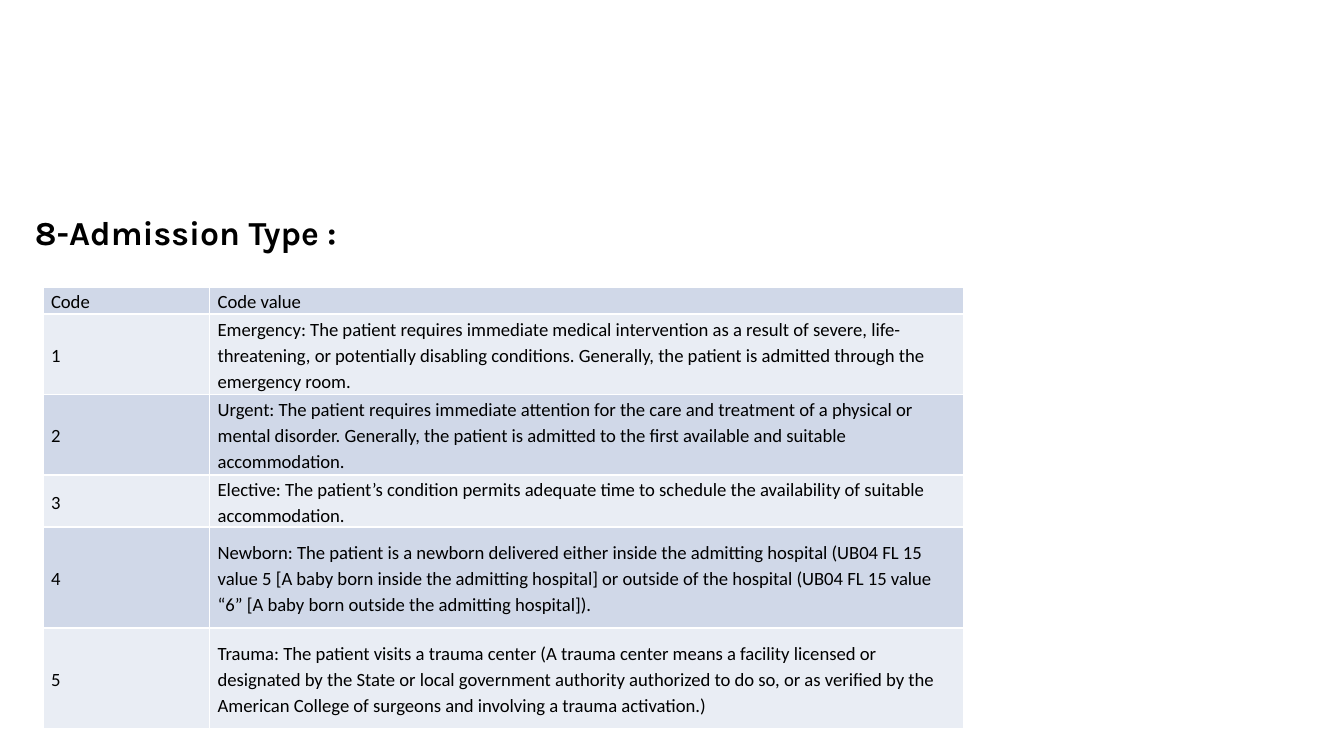
from dataclasses import dataclass

from lxml import etree
from pptx import Presentation
from pptx.dml.color import RGBColor
from pptx.enum.text import MSO_ANCHOR, MSO_AUTO_SIZE, PP_ALIGN
from pptx.oxml.ns import qn
from pptx.util import Inches, Pt

TOP, MIDDLE, BOTTOM = MSO_ANCHOR.TOP, MSO_ANCHOR.MIDDLE, MSO_ANCHOR.BOTTOM
LEFT = PP_ALIGN.LEFT
NO_AUTOFIT = MSO_AUTO_SIZE.NONE
TITLE_ONLY = 5

WIDTH = Inches(10)
HEIGHT = WIDTH * 9 // 16
COLUMN_WIDTHS = (1.24, 5.61)
COLORS = {"text": "000000", "border": "FFFFFF", "dark band": "D0D8E8", "light band": "E9EDF4"}
BANDS = ("dark band", "light band")


@dataclass
class CodeRow:
    code: str
    value: str
    height: float
    anchor: MSO_ANCHOR = MIDDLE


ROWS = [
    CodeRow("Code", "Code value", 0.17, BOTTOM),
    CodeRow("1", "Emergency: The patient requires immediate medical intervention as a result of "
            "severe, life-threatening, or potentially disabling conditions. Generally, the patient "
            "is admitted through the emergency room.", 0.6),
    CodeRow("2", "Urgent: The patient requires immediate attention for the care and treatment of a "
            "physical or mental disorder. Generally, the patient is admitted to the first available "
            "and suitable accommodation.", 0.6),
    CodeRow("3", "Elective: The patient’s condition permits adequate time to schedule the "
            "availability of suitable accommodation.", 0.34),
    CodeRow("4", "Newborn: The patient is a newborn delivered either inside the admitting hospital "
            "(UB04 FL 15 value 5 [A baby born inside the admitting hospital] or outside of the "
            "hospital (UB04 FL 15 value “6” [A baby born outside the admitting hospital]).", 0.75),
    CodeRow("5", "Trauma: The patient visits a trauma center (A trauma center means a facility "
            "licensed or designated by the State or local government authority authorized to do so, "
            "or as verified by the American College of surgeons and involving a trauma "
            "activation.)", 0.75),
]


def format_paragraph(paragraph, font_name: str, size: float, bold: bool = False) -> None:
    paragraph.alignment = LEFT
    paragraph.line_spacing = 1.15
    font = paragraph.font
    font.name, font.size, font.bold = font_name, Pt(size), bold
    font.color.rgb = RGBColor.from_string(COLORS["text"])


def add_borders(cell) -> None:
    properties = cell._tc.get_or_add_tcPr()
    for index, side in enumerate(("lnL", "lnR", "lnT", "lnB")):
        line = etree.Element(qn(f"a:{side}"), w=str(Pt(1)))
        fill = etree.SubElement(line, qn("a:solidFill"))
        etree.SubElement(fill, qn("a:srgbClr"), val=COLORS["border"])
        properties.insert(index, line)


def fill_cell(cell, text: str, band: str, anchor: MSO_ANCHOR) -> None:
    cell.text = text
    cell.vertical_anchor = anchor
    cell.margin_left = cell.margin_right = Inches(0.06)
    cell.margin_top = cell.margin_bottom = 0
    cell.fill.solid()
    cell.fill.fore_color.rgb = RGBColor.from_string(COLORS[band])
    paragraph = cell.text_frame.paragraphs[0]
    format_paragraph(paragraph, "Calibri", 10)
    paragraph.space_after = Pt(16.5)
    add_borders(cell)


def set_title(slide, text: str) -> None:
    title = slide.shapes.title
    title.left, title.top = Inches(0.16), Inches(1.48)
    title.width, title.height = Inches(2.62), Inches(0.45)
    frame = title.text_frame
    frame.text = text
    frame.word_wrap = True
    frame.auto_size = NO_AUTOFIT
    frame.vertical_anchor = TOP
    format_paragraph(frame.paragraphs[0], "Karla", 18, bold=True)


def add_code_table(slide, rows: list[CodeRow]) -> None:
    frame = slide.shapes.add_table(
        len(rows), len(COLUMN_WIDTHS), Inches(0.32), Inches(2.14),
        Inches(sum(COLUMN_WIDTHS)), Inches(sum(row.height for row in rows)))
    table = frame.table
    for column, width in zip(table.columns, COLUMN_WIDTHS):
        column.width = Inches(width)
    for index, row in enumerate(rows):
        table.rows[index].height = Inches(row.height)
        for column_index, text in enumerate((row.code, row.value)):
            fill_cell(table.cell(index, column_index), text, BANDS[index % 2], row.anchor)


def main() -> None:
    presentation = Presentation()
    presentation.slide_width, presentation.slide_height = WIDTH, HEIGHT
    slide = presentation.slides.add_slide(presentation.slide_layouts[TITLE_ONLY])

    # Heading
    set_title(slide, "8-Admission Type :")

    # Admission codes
    add_code_table(slide, ROWS)

    presentation.save("out.pptx")


if __name__ == "__main__":
    main()
